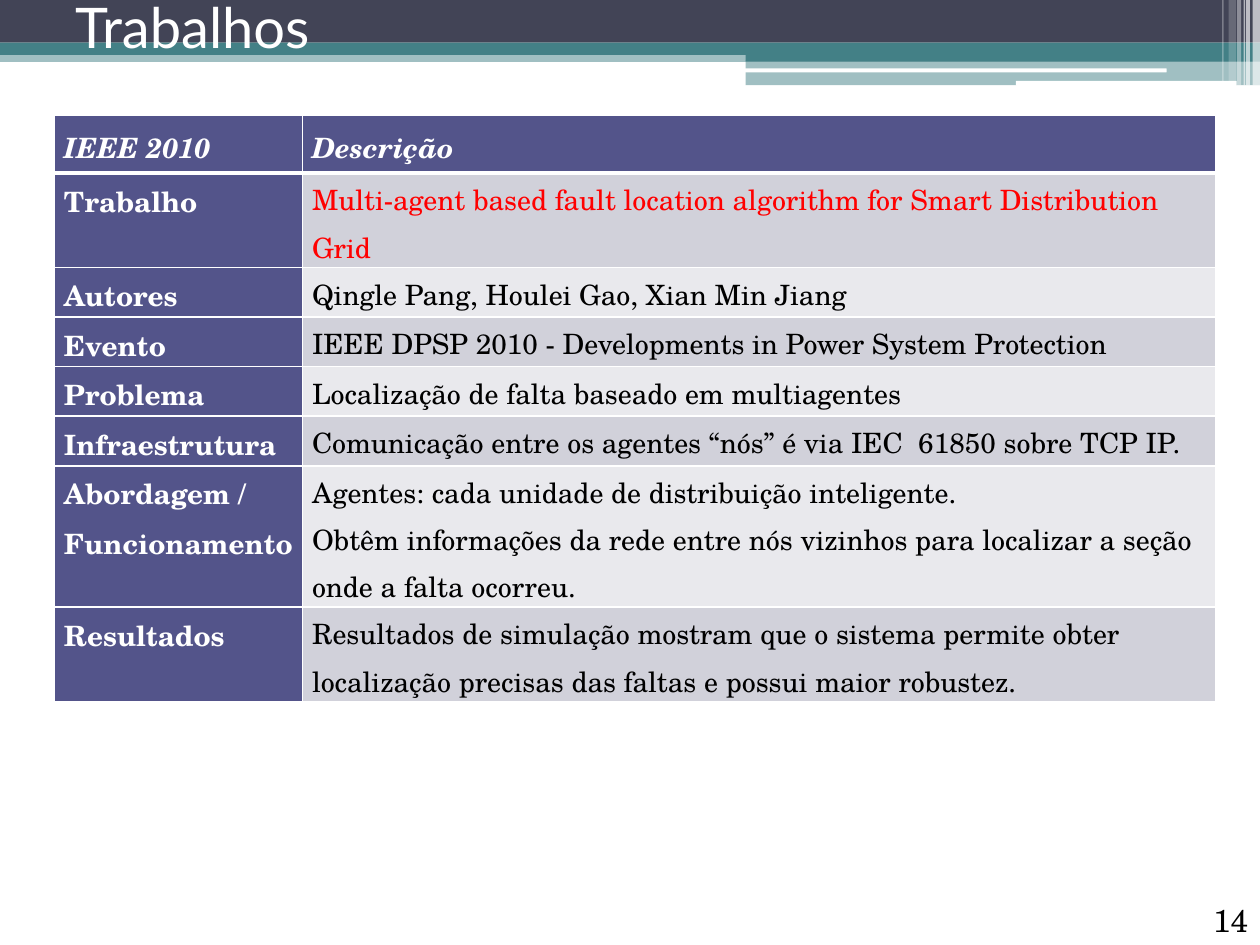
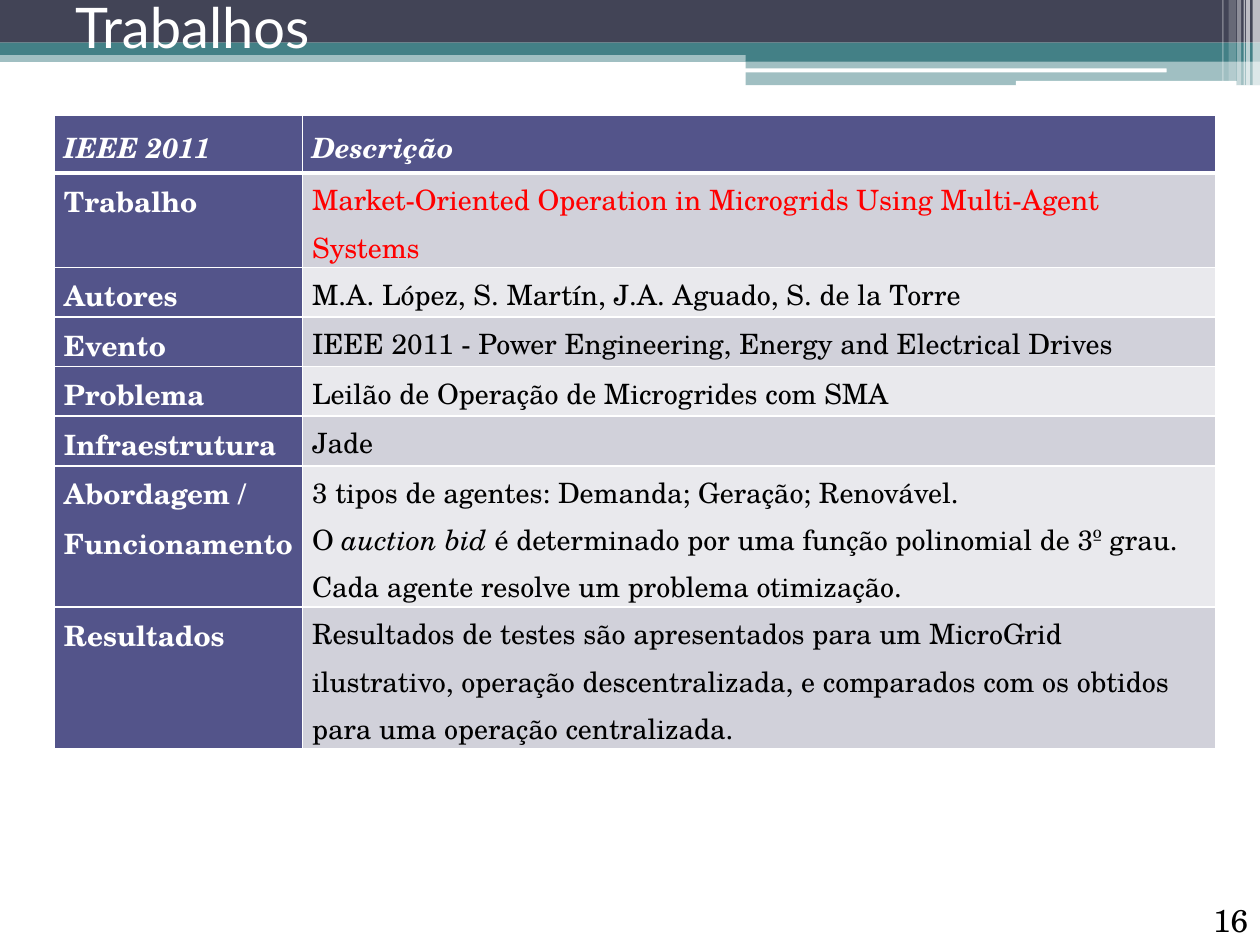
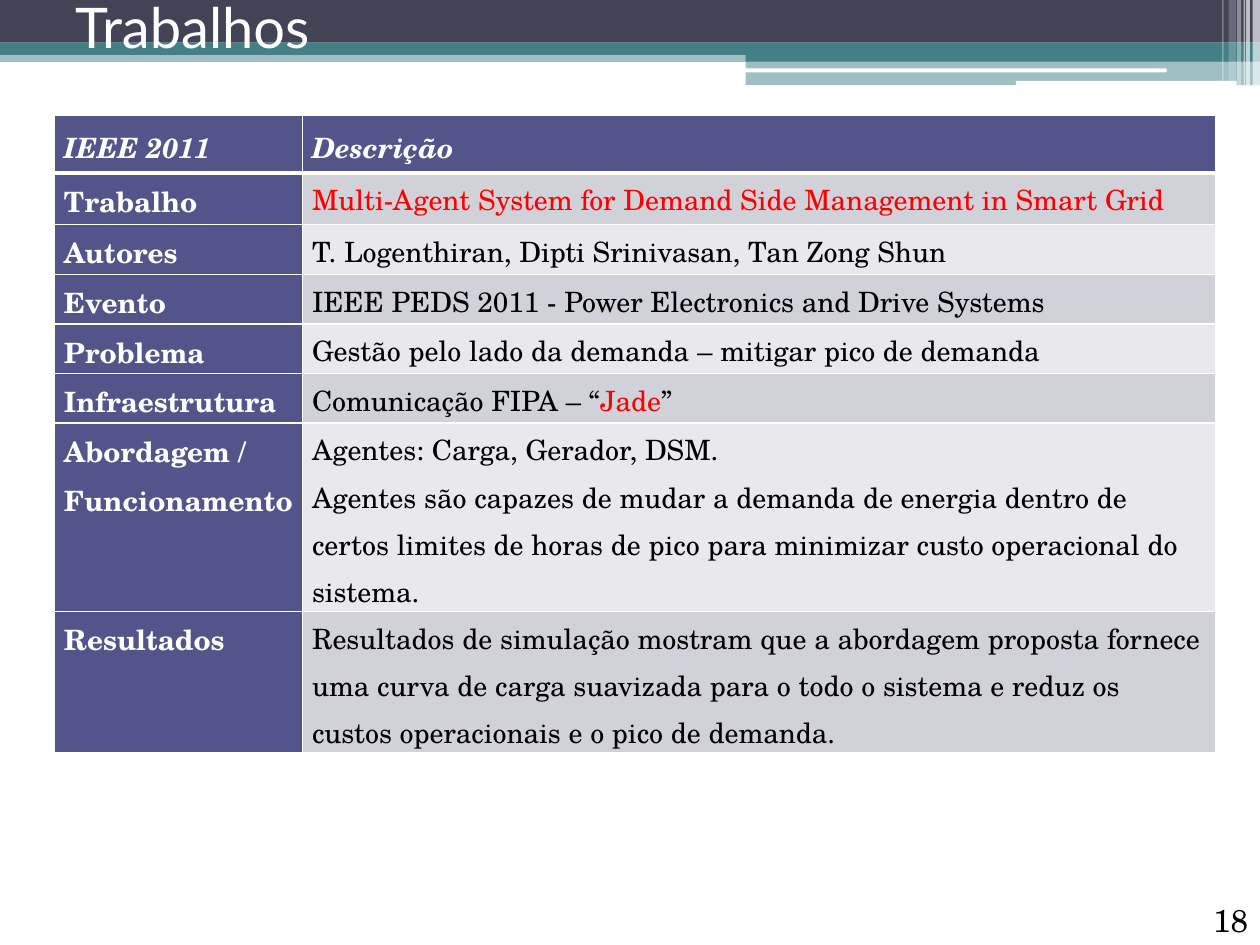
from lxml import etree
from pptx import Presentation
from pptx import util as u
from pptx.dml.color import RGBColor
from pptx.enum import shapes, text
from pptx.oxml.ns import qn

# Colours and fonts
WHITE = RGBColor(0xFF, 0xFF, 0xFF)
BLACK = RGBColor(0x00, 0x00, 0x00)
RED = RGBColor(0xFF, 0x00, 0x00)
SLATE = RGBColor(0x42, 0x44, 0x56)
TEAL = RGBColor(0x43, 0x80, 0x86)
INDIGO = RGBColor(0x53, 0x54, 0x8A)
BANDS = (RGBColor(0xD1, 0xD1, 0xDA), RGBColor(0xE9, 0xE9, 0xED))
TITLE_FONT, BODY_FONT = "Lato", "TeX Gyre Schola"

# Content: a cell is a list of paragraphs, a paragraph a string or a list of
# (text, format); lines counts the text lines of each row
TITLE = "Trabalhos"
LABELS = ["Trabalho", "Autores", "Evento", "Problema", "Infraestrutura",
          "Abordagem / Funcionamento", "Resultados"]
PAPERS = [
    dict(number=14, source="IEEE 2010", lines=(2, 1, 1, 1, 1, 3, 2), cells=[
        [[("Multi-agent based fault location algorithm for Smart Distribution Grid",
           dict(color=RED))]],
        ["Qingle Pang, Houlei Gao, Xian Min Jiang"],
        ["IEEE DPSP 2010 - Developments in Power System Protection"],
        ["Localização de falta baseado em multiagentes"],
        ["Comunicação entre os agentes “nós” é via IEC  61850 sobre TCP IP."],
        ["Agentes: cada unidade de distribuição inteligente.",
         "Obtêm informações da rede entre nós vizinhos para localizar a seção "
         "onde a falta ocorreu."],
        ["Resultados de simulação mostram que o sistema permite obter localização "
         "precisas das faltas e possui maior robustez."],
    ]),
    dict(number=16, source="IEEE 2011", lines=(2, 1, 1, 1, 1, 3, 3), cells=[
        [[("Market-Oriented Operation in Microgrids Using Multi-Agent Systems",
           dict(color=RED))]],
        ["M.A. López, S. Martín, J.A. Aguado, S. de la Torre"],
        ["IEEE 2011 - Power Engineering, Energy and Electrical Drives"],
        ["Leilão de Operação de Microgrides com SMA"],
        ["Jade"],
        ["3 tipos de agentes: Demanda; Geração; Renovável.",
         [("O ", {}), ("auction bid", dict(italic=True)),
          (" é determinado por uma função polinomial de 3º grau. "
           "Cada agente resolve um problema otimização.", {})]],
        ["Resultados de testes são apresentados para um MicroGrid ilustrativo, "
         "operação descentralizada, e comparados com os obtidos para uma "
         "operação centralizada."],
    ]),
    dict(number=18, source="IEEE 2011", lines=(1, 1, 1, 1, 1, 4, 3), cells=[
        [[("Multi-Agent System for Demand Side Management in Smart Grid",
           dict(color=RED))]],
        ["T. Logenthiran, Dipti Srinivasan, Tan Zong Shun"],
        ["IEEE PEDS 2011 - Power Electronics and Drive Systems"],
        ["Gestão pelo lado da demanda – mitigar pico de demanda"],
        [[("Comunicação FIPA – “", {}), ("Jade", dict(color=RED)), ("”", {})]],
        ["Agentes: Carga, Gerador, DSM.",
         "Agentes são capazes de mudar a demanda de energia dentro de certos "
         "limites de horas de pico para minimizar custo operacional do sistema."],
        ["Resultados de simulação mostram que a abordagem proposta fornece uma "
         "curva de carga suavizada para o todo o sistema e reduz os custos "
         "operacionais e o pico de demanda."],
    ]),
]

# Layout in cm
SLIDE_W, SLIDE_H = 25.4, 19.05
TABLE_LEFT, TABLE_TOP = 1.1, 2.32
COLUMNS = (5.0, 18.4)
HEADING_H, FIRST_ROW_H, ROW_H, LINE_H = 1.17, 1.04, 1.0, 0.95

# Top band: left, top, width, height, colour, opacity in percent
RECT, ROUND = shapes.MSO_SHAPE.RECTANGLE, shapes.MSO_SHAPE.ROUNDED_RECTANGLE
HEADER_BARS = [
    (RECT, 0, 1.02, SLIDE_W, 0.23, TEAL, 50),
    (RECT, 0, 0, SLIDE_W, 0.86, SLATE, 100),
    (RECT, 0, 0.86, SLIDE_W, 0.25, TEAL, 100),
    (RECT, 15.03, 0.99, 10.37, 0.25, TEAL, 100),
    (RECT, 15.03, 1.22, 10.37, 0.5, TEAL, 50),
    (ROUND, 15.01, 1.38, 8.51, 0.08, WHITE, 100),
    (ROUND, 20.48, 1.63, 4.45, 0.1, WHITE, 100),
]
# Light stripes at the right edge: left, width, height, opacity
STRIPES = [(25.25, 0.15, 1.73, 65), (25.12, 0.08, 1.73, 65), (25.07, 0.03, 1.73, 60),
           (24.94, 0.08, 1.73, 40), (24.77, 0.15, 1.63, 20), (24.64, 0.03, 1.63, 30)]
HEADER_BARS += [(RECT, x, 0, w, h, WHITE, a) for x, w, h, a in STRIPES]


def write(tf, paragraphs, font=BODY_FONT, size=16, color=BLACK, bold=False,
          italic=False, align=text.PP_ALIGN.LEFT, spacing=None):
    for i, runs in enumerate(paragraphs):
        p = tf.add_paragraph() if i else tf.paragraphs[0]
        p.alignment = align
        if spacing:
            p.line_spacing = spacing
        for content, fmt in [(runs, {})] if isinstance(runs, str) else runs:
            r = p.add_run()
            r.text = content
            r.font.name, r.font.size = font, u.Pt(size)
            r.font.bold = bold
            r.font.italic = fmt.get("italic", italic)
            r.font.color.rgb = fmt.get("color", color)


def add_bar(s, kind, x, y, w, h, color, opacity):
    sp = s.shapes.add_shape(kind, u.Cm(x), u.Cm(y), u.Cm(w), u.Cm(h))
    sp.shadow.inherit = False
    sp.fill.solid()
    sp.fill.fore_color.rgb = color
    sp.line.fill.background()
    if opacity < 100:
        clr = sp.element.spPr.find(".//" + qn("a:srgbClr"))
        etree.SubElement(clr, qn("a:alpha"), val=str(opacity * 1000))
    return sp


def set_borders(cell, **widths):
    tcPr = cell._tc.get_or_add_tcPr()
    for i, side in enumerate("LRTB"):
        ln = etree.Element(qn("a:ln" + side), w=str(u.Pt(widths.get(side, 1))))
        fill = etree.SubElement(ln, qn("a:solidFill"))
        etree.SubElement(fill, qn("a:srgbClr"), val=str(WHITE))
        tcPr.insert(i, ln)


def fill_cell(cell, paragraphs, fill, right=0.18, **fmt):
    cell.margin_left, cell.margin_right = u.Cm(0.19), u.Cm(right)
    cell.margin_top = cell.margin_bottom = 0
    cell.fill.solid()
    cell.fill.fore_color.rgb = fill
    write(cell.text_frame, paragraphs, spacing=1.15, **fmt)


def row_heights(lines):
    minimums = [FIRST_ROW_H] + [ROW_H] * (len(lines) - 1)
    return [HEADING_H] + [max(h, n * LINE_H) for h, n in zip(minimums, lines)]


def add_paper_table(s, paper):
    heights = row_heights(paper["lines"])
    table = s.shapes.add_table(
        len(heights), len(COLUMNS), u.Cm(TABLE_LEFT), u.Cm(TABLE_TOP),
        u.Cm(sum(COLUMNS)), u.Cm(sum(heights))).table
    table.horz_banding = False
    for column, width in zip(table.columns, COLUMNS):
        column.width = u.Cm(width)
    for row, height in zip(table.rows, heights):
        row.height = u.Cm(height)

    # Heading row
    for cell, heading in zip(table.rows[0].cells, (paper["source"], "Descrição")):
        fill_cell(cell, [heading], INDIGO, color=WHITE, bold=True, italic=True)
        cell.vertical_anchor = text.MSO_ANCHOR.MIDDLE
        set_borders(cell, B=3)

    # Label and description rows
    for i, (label, description) in enumerate(zip(LABELS, paper["cells"])):
        left, right = table.rows[i + 1].cells
        fill_cell(left, [label], INDIGO, right=0.15, color=WHITE, bold=True)
        fill_cell(right, description, BANDS[i % 2])
        for cell in (left, right):
            set_borders(cell, T=1 if i else 3)


def add_paper_slide(prs, layout, paper):
    s = prs.slides.add_slide(layout)

    # Title
    title = s.shapes.title
    title.left, title.top, title.width, title.height = map(u.Cm, (1.26, 0, 22.86, 1.33))
    tf = title.text_frame
    tf.auto_size = text.MSO_AUTO_SIZE.NONE
    tf.vertical_anchor = text.MSO_ANCHOR.BOTTOM
    write(tf, [TITLE], font=TITLE_FONT, size=32, color=WHITE)

    # Page number
    box = s.shapes.add_textbox(u.Cm(23.53), u.Cm(18.03), u.Cm(1.88), u.Cm(1.02))
    box.text_frame.word_wrap = True
    write(box.text_frame, [str(paper["number"])], size=18, align=text.PP_ALIGN.RIGHT)

    add_paper_table(s, paper)
    return s


def main():
    prs = Presentation()
    prs.slide_width, prs.slide_height = u.Cm(SLIDE_W), u.Cm(SLIDE_H)
    layout = prs.slide_layouts.get_by_name("Title Only")
    for ph in list(layout.placeholders)[1:]:
        ph.element.getparent().remove(ph.element)

    slides = [add_paper_slide(prs, layout, paper) for paper in PAPERS]

    # Header bars live on the layout that all the slides share
    bars = [add_bar(slides[0], *bar) for bar in HEADER_BARS]
    for sp in bars:
        layout.shapes.element.append(sp.element)

    prs.save("out.pptx")


if __name__ == "__main__":
    main()
